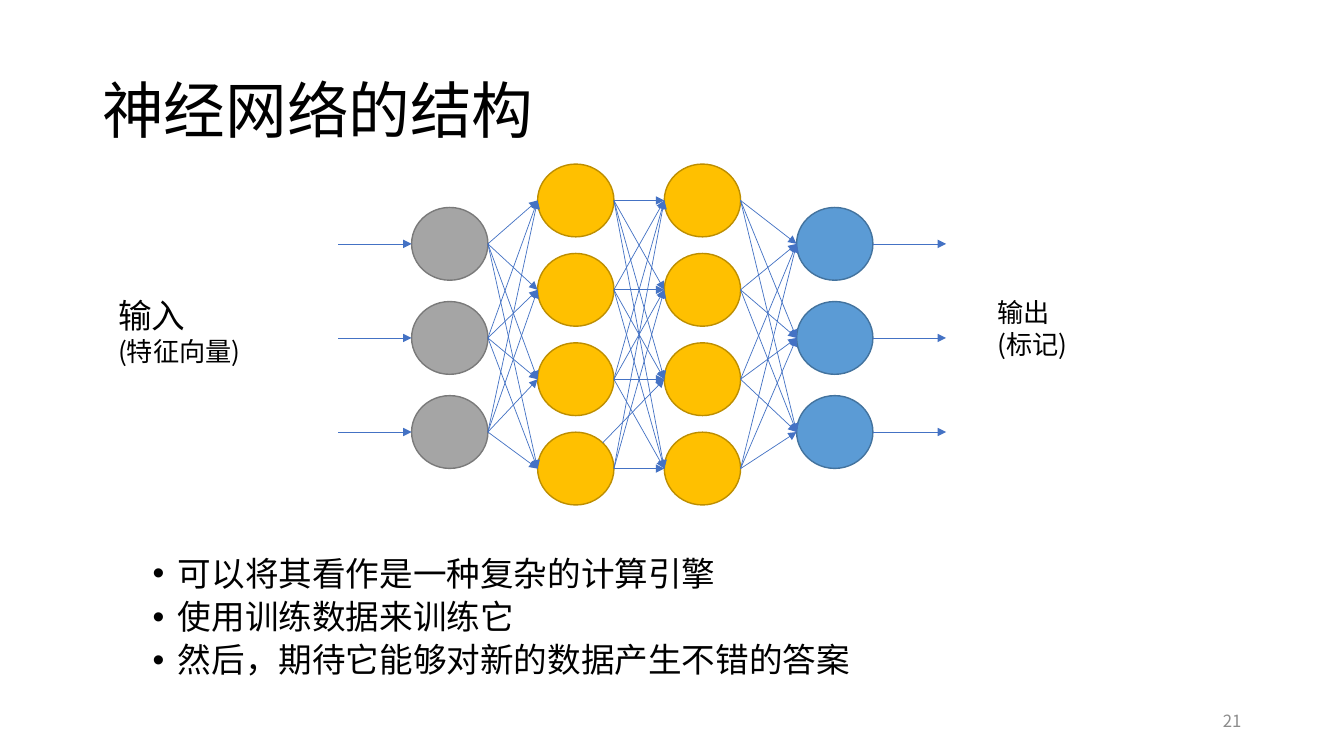
from dataclasses import dataclass
from itertools import product
from math import cos, radians, sin

from lxml import etree
from pptx import Presentation
from pptx.dml.color import RGBColor
from pptx.enum.shapes import MSO_CONNECTOR, MSO_SHAPE
from pptx.enum.text import MSO_ANCHOR, MSO_AUTO_SIZE, PP_ALIGN
from pptx.oxml.ns import qn
from pptx.slide import Slide
from pptx.util import Pt

ELLIPSE = MSO_SHAPE.OVAL
STRAIGHT = MSO_CONNECTOR.STRAIGHT
TOP, MIDDLE = MSO_ANCHOR.TOP, MSO_ANCHOR.MIDDLE
LEFT, RIGHT = PP_ALIGN.LEFT, PP_ALIGN.RIGHT

BLACK = RGBColor(0x00, 0x00, 0x00)
PAGE_GRAY = RGBColor(0x8C, 0x8C, 0x8C)
GRAY = RGBColor(0xA5, 0xA5, 0xA5)
DARK_GRAY = RGBColor(0x7A, 0x7A, 0x7A)
GOLD = RGBColor(0xFF, 0xC0, 0x00)
DARK_GOLD = RGBColor(0xBD, 0x8E, 0x00)
BLUE = RGBColor(0x5B, 0x9B, 0xD5)
DARK_BLUE = RGBColor(0x43, 0x73, 0x9E)
ARROW_BLUE = RGBColor(0x44, 0x72, 0xC4)

FONT = "Noto Sans CJK SC"
NODE_WIDTH, NODE_HEIGHT = 54.5, 52
ARROW_LENGTH = 52.3

Point = tuple[float, float]


@dataclass(frozen=True)
class Layer:
    left: float
    first_middle: float
    pitch: float
    count: int
    fill: RGBColor
    outline: RGBColor

    def middles(self) -> list[float]:
        return [self.first_middle + row * self.pitch for row in range(self.count)]

    def inlets(self) -> list[Point]:
        return [(self.left, middle) for middle in self.middles()]

    def outlets(self) -> list[Point]:
        return [(self.left + NODE_WIDTH, middle) for middle in self.middles()]


@dataclass(frozen=True)
class TextBlock:
    left: float
    top: float
    width: float
    height: float
    lines: tuple[str, ...]
    sizes: tuple[float, ...]
    color: RGBColor = BLACK
    anchor: MSO_ANCHOR = TOP
    align: PP_ALIGN = LEFT
    line_spacing: float = 1.0
    space_before: float = 0
    bulleted: bool = False
    grows: bool = False


LAYERS = (
    Layer(294, 174.2, 67.2, 3, GRAY, DARK_GRAY),
    Layer(384, 143.2, 63.84, 4, GOLD, DARK_GOLD),
    Layer(474.5, 143.2, 63.84, 4, GOLD, DARK_GOLD),
    Layer(569, 174.2, 67.2, 3, BLUE, DARK_BLUE),
)

BODY = TextBlock(
    66, 394.5, 793.5, 113,
    ("可以将其看作是一种复杂的计算引擎", "使用训练数据来训练它", "然后，期待它能够对新的数据产生不错的答案"),
    (24, 24, 24), line_spacing=0.9, space_before=5, bulleted=True,
)
PAGE_NUMBER = TextBlock(678, 500.5, 216, 28.75, ("21",), (12,), PAGE_GRAY, MIDDLE, RIGHT)
TITLE = TextBlock(66, 28.75, 828, 104.4, ("神经网络的结构",), (44,), anchor=MIDDLE, line_spacing=0.9)
INPUT_LABEL = TextBlock(77.3, 207.4, 211, 59, ("输入", "(特征向量)"), (24, 18.7), grows=True)
OUTPUT_LABEL = TextBlock(705.6, 208.2, 211, 52.6, ("输出", "(标记)"), (18.7, 18.7), grows=True)


def add_text(page: Slide, block: TextBlock) -> None:
    box = page.shapes.add_textbox(Pt(block.left), Pt(block.top), Pt(block.width), Pt(block.height))
    frame = box.text_frame
    frame.word_wrap = True
    frame.auto_size = MSO_AUTO_SIZE.SHAPE_TO_FIT_TEXT if block.grows else MSO_AUTO_SIZE.NONE
    frame.vertical_anchor = block.anchor
    frame.text = "\n".join(block.lines)
    for para, size in zip(frame.paragraphs, block.sizes):
        para.alignment = block.align
        para.line_spacing = block.line_spacing
        para.space_before = Pt(block.space_before)
        if block.bulleted:
            properties = para._p.get_or_add_pPr()
            properties.set("marL", str(Pt(54)))
            properties.set("indent", str(Pt(-18)))
            etree.SubElement(properties, qn("a:buFont"), typeface="Arial")
            etree.SubElement(properties, qn("a:buChar"), char="•")
        for span in para.runs:
            span.font.size = Pt(size)
            span.font.name = FONT
            span.font.color.rgb = block.color
            etree.SubElement(span._r.get_or_add_rPr(), qn("a:ea"), typeface=FONT)


def add_nodes(page: Slide, layer: Layer) -> None:
    for left, middle in layer.inlets():
        node = page.shapes.add_shape(
            ELLIPSE, Pt(left), Pt(middle - NODE_HEIGHT / 2), Pt(NODE_WIDTH), Pt(NODE_HEIGHT)
        )
        node.shadow.inherit = False
        node.fill.solid()
        node.fill.fore_color.rgb = layer.fill
        node.line.color.rgb = layer.outline
        node.line.width = Pt(1)


def add_arrow(page: Slide, start: Point, end: Point) -> None:
    arrow = page.shapes.add_connector(STRAIGHT, Pt(start[0]), Pt(start[1]), Pt(end[0]), Pt(end[1]))
    arrow.line.color.rgb = ARROW_BLUE
    arrow.line.width = Pt(0.5)
    etree.SubElement(arrow.line._get_or_add_ln(), qn("a:tailEnd"), type="triangle")
    etree.SubElement(arrow._element.spPr, qn("a:effectLst"))


def upper_right(outlet: Point) -> Point:
    """Return the 45-degree point of the node whose right side is at outlet."""
    angle = radians(45)
    return (
        outlet[0] - NODE_WIDTH / 2 * (1 - cos(angle)),
        outlet[1] - NODE_HEIGHT / 2 * sin(angle),
    )


def add_network(page: Slide) -> None:
    for layer in LAYERS:
        add_nodes(page, layer)
    first_hidden, second_hidden = LAYERS[1:3]
    slanted_link = (first_hidden.outlets()[3], second_hidden.inlets()[2])
    for source, target in zip(LAYERS, LAYERS[1:]):
        for start, end in product(source.outlets(), target.inlets()):
            if (start, end) == slanted_link:
                start = upper_right(start)
            add_arrow(page, start, end)
    for x, y in LAYERS[-1].outlets():
        add_arrow(page, (x, y), (x + ARROW_LENGTH, y))
    for x, y in LAYERS[0].inlets():
        add_arrow(page, (x - ARROW_LENGTH, y), (x, y))


def main() -> None:
    deck = Presentation()
    deck.slide_width, deck.slide_height = Pt(960), Pt(540)
    page = deck.slides.add_slide(deck.slide_layouts[6])
    for block in (BODY, PAGE_NUMBER, TITLE):
        add_text(page, block)
    add_network(page)
    for block in (INPUT_LABEL, OUTPUT_LABEL):
        add_text(page, block)
    deck.save("out.pptx")


if __name__ == "__main__":
    main()
